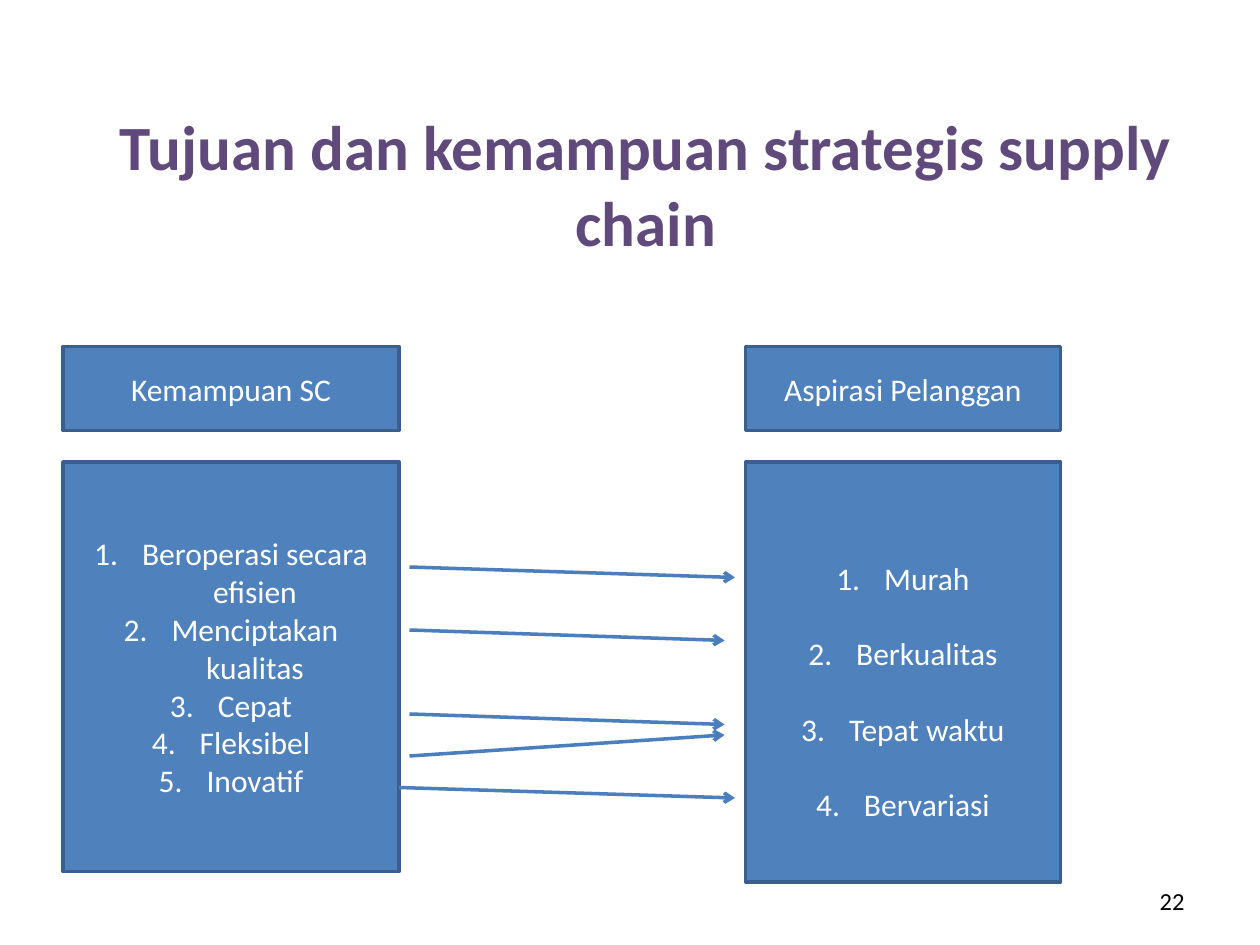
"""Builds the slide that links supply chain abilities to customer aspirations."""
from lxml.etree import SubElement
from pptx import Presentation
from pptx.dml.color import RGBColor
from pptx.enum.shapes import MSO_CONNECTOR as Connector, MSO_SHAPE as Preset
from pptx.enum.text import MSO_ANCHOR as Anchor, PP_ALIGN as Align
from pptx.oxml.ns import qn
from pptx.util import Inches, Pt

COLUMNS, ROWS = 120, 90
TITLE = "Tujuan dan kemampuan strategis supply chain"
PAGE_NUMBER = "22"
PANELS = [
    {"heading": "Kemampuan SC", "left": 6, "width": 32, "height": 39, "spacing": 1,
     "items": ["Beroperasi secara efisien", "Menciptakan kualitas", "Cepat",
               "Fleksibel", "Inovatif"]},
    {"heading": "Aspirasi Pelanggan", "left": 71, "width": 30, "height": 40, "spacing": 2,
     "items": ["Murah", "Berkualitas", "Tepat waktu", "Bervariasi"]},
]
HEADING_TOP, HEADING_HEIGHT, LIST_TOP = 33, 8, 44
LINKS = [
    ((39, 54), (70, 55)),
    ((39, 60), (69, 61)),
    ((39, 68), (69, 69)),
    ((39, 72), (69, 70)),
    ((38, 75), (70, 76)),
]
BOX, BORDER, ARROW = "4F81BD", "3A5F8C", "4B7EBC"
WHITE, BLACK, PURPLE = "FFFFFF", "000000", "604A7B"

deck = Presentation()
deck.slide_width, deck.slide_height = Inches(10), Inches(7.5)
slide = deck.slides.add_slide(deck.slide_layouts[6])
shapes = slide.shapes


def color(code):
    return RGBColor.from_string(code)


def place(*cells):
    units = (deck.slide_width / COLUMNS, deck.slide_height / ROWS)
    return [round(cell * units[i % 2]) for i, cell in enumerate(cells)]


def number(paragraph):
    properties = paragraph._p.get_or_add_pPr()
    properties.set("marL", str(Inches(0.38)))
    properties.set("indent", str(Inches(-0.38)))
    SubElement(properties, qn("a:buFont"), typeface="+mj-lt")
    SubElement(properties, qn("a:buAutoNum"), type="arabicPeriod")


def write(holder, lines, size=18, ink=WHITE, bold=False, align=Align.CENTER,
          anchor=Anchor.MIDDLE, numbered=False, spacing=None):
    frame = holder.text_frame
    frame.word_wrap = True
    frame.vertical_anchor = anchor
    for index, line in enumerate(lines):
        paragraph = frame.add_paragraph() if index else frame.paragraphs[0]
        paragraph.alignment = align
        if spacing:
            paragraph.line_spacing = float(spacing)
        if numbered:
            number(paragraph)
        run = paragraph.add_run()
        run.text = line
        run.font.name, run.font.size, run.font.bold = "Calibri", Pt(size), bold
        run.font.color.rgb = color(ink)


def add_box(left, top, width, height, lines, **text_format):
    box = shapes.add_shape(Preset.RECTANGLE, *place(left, top, width, height))
    box.shadow.inherit = False
    box.fill.solid()
    box.fill.fore_color.rgb = color(BOX)
    box.line.color.rgb = color(BORDER)
    box.line.width = Pt(2)
    write(box, lines, **text_format)


def add_arrow(start, end):
    arrow = shapes.add_connector(Connector.STRAIGHT, *place(*start, *end))
    arrow.line.color.rgb = color(ARROW)
    arrow.line.width = Pt(2)
    SubElement(arrow.line._get_or_add_ln(), qn("a:tailEnd"), type="arrow")
    SubElement(arrow._element.spPr, qn("a:effectLst"))


write(shapes.add_textbox(*place(3, 10, 117, 15.25)), [TITLE],
      size=36, ink=PURPLE, bold=True, anchor=Anchor.BOTTOM)
write(shapes.add_textbox(*place(86, 83.4, 28, 4.8)), [PAGE_NUMBER],
      size=14, ink=BLACK, align=Align.RIGHT)
for panel in PANELS:
    left, width = panel["left"], panel["width"]
    add_box(left, HEADING_TOP, width, HEADING_HEIGHT, [panel["heading"]])
    add_box(left, LIST_TOP, width, panel["height"], panel["items"],
            numbered=True, spacing=panel["spacing"])
for start, end in LINKS:
    add_arrow(start, end)

deck.save("out.pptx")
